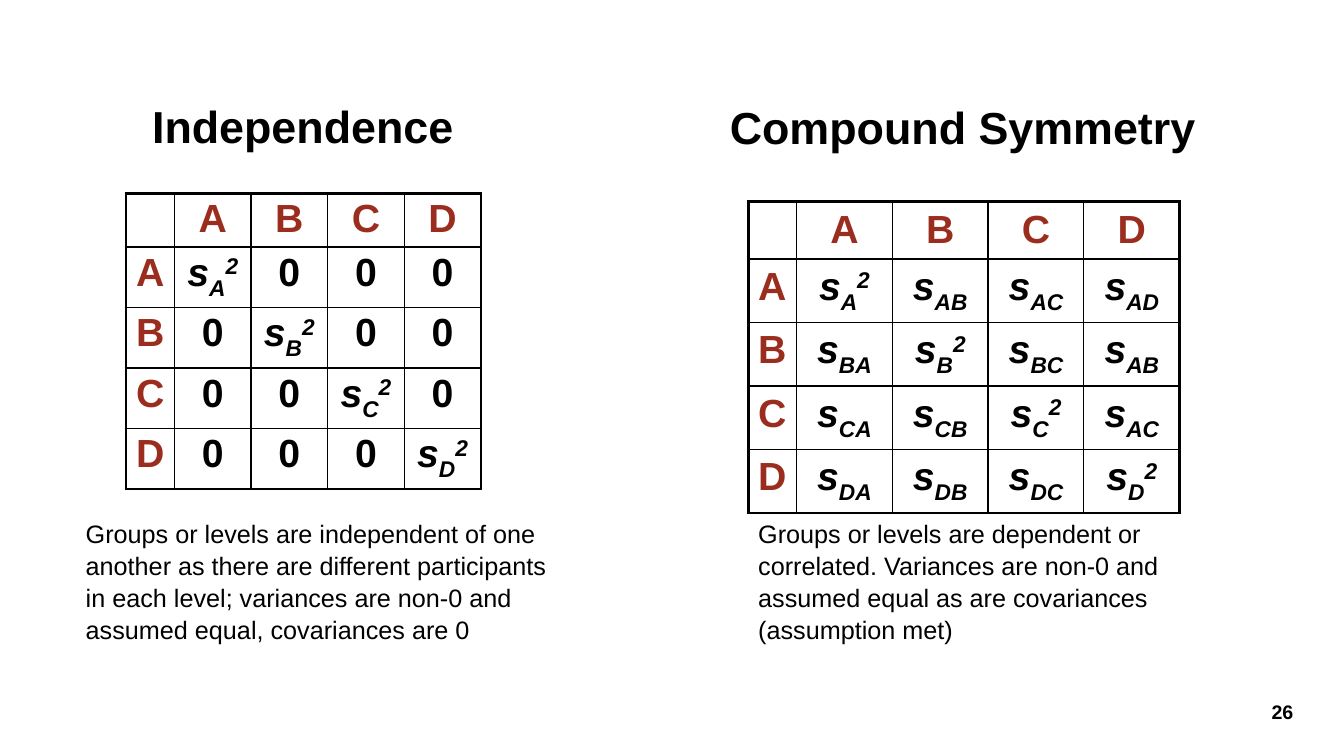
from lxml import etree
from pptx import Presentation
from pptx.enum.text import MSO_ANCHOR, MSO_AUTO_SIZE, PP_ALIGN
from pptx.oxml.ns import qn
from pptx.util import Inches, Pt

TOP, MIDDLE = MSO_ANCHOR.TOP, MSO_ANCHOR.MIDDLE
LEFT, CENTER = PP_ALIGN.LEFT, PP_ALIGN.CENTER
FIXED = MSO_AUTO_SIZE.NONE

FONT = "Arial"
COLORS = {"text": "000000", "label": "9B2D1F", "border": "000000"}
LEVELS = ["A", "B", "C", "D"]
PAGE_NUMBER = "26"
COMPARISON_LAYOUT = 4

# Matrix entries: base, then _subscript, then ^superscript
STRUCTURES = [
    {
        "heading": "Independence",
        "heading_box": (1.38, 0.93, 3.25, 0.63),
        "heading_slot": 1,
        "matrix": [
            ["s_A^2", "0", "0", "0"],
            ["0", "s_B^2", "0", "0"],
            ["0", "0", "s_C^2", "0"],
            ["0", "0", "0", "s_D^2"],
        ],
        "matrix_at": (1.25, 1.92),
        "col_width": 0.76,
        "row_heights": (0.53, 0.6),
        "cell_margin": 0.04,
        "caption": "Groups or levels are independent of one another as there are "
                   "different participants in each level; variances are non-0 and "
                   "assumed equal, covariances are 0",
        "caption_box": (0.75, 5.08, 4.92, 1.31),
        "caption_slot": 2,
    },
    {
        "heading": "Compound Symmetry",
        "heading_box": (6.87, 0.94, 5.36, 0.64),
        "heading_slot": 3,
        "matrix": [
            ["s_A^2", "s_AB", "s_AC", "s_AD"],
            ["s_BA", "s_B^2", "s_BC", "s_AB"],
            ["s_CA", "s_CB", "s_C^2", "s_AC"],
            ["s_DA", "s_DB", "s_DC", "s_D^2"],
        ],
        "matrix_at": (7.42, 2),
        "col_width": 0.95,
        "row_heights": (0.57, 0.63),
        "cell_margin": 0.06,
        "caption": "Groups or levels are dependent or correlated. Variances are "
                   "non-0 and assumed equal as are covariances (assumption met)",
        "caption_box": (7.42, 5.08, 5.2, 1.31),
        "caption_slot": 4,
    },
]
LABEL_COL_WIDTH = 0.48
OUTER_BORDER, INNER_BORDER = Pt(2.25), Pt(1)


def add_run(paragraph, text, size, color="text", bold=False, italic=False, baseline=0):
    run = paragraph.add_run()
    run.text = text
    font = run.font
    font.name, font.size, font.bold, font.italic = FONT, Pt(size), bold, italic
    font.color.rgb = RGBColor.from_string(COLORS[color])
    if baseline:
        run._r.get_or_add_rPr().set("baseline", str(baseline * 1000))


def fill_text(shape, box, text, size, align, bold=False, anchor=TOP, spacing=1.0):
    """Place a text shape and give it one unbulleted paragraph."""
    shape.left, shape.top, shape.width, shape.height = map(Inches, box)
    frame = shape.text_frame
    frame.word_wrap, frame.auto_size, frame.vertical_anchor = True, FIXED, anchor
    paragraph = frame.paragraphs[0]
    properties = paragraph._p.get_or_add_pPr()
    properties.set("marL", "0")
    properties.set("indent", "0")
    etree.SubElement(properties, qn("a:buNone"))
    paragraph.alignment, paragraph.line_spacing = align, spacing
    paragraph.space_before = Pt(0)
    add_run(paragraph, text, size, bold=bold)


def add_entry(paragraph, entry):
    """Write an entry such as s_A^2 with real sub- and superscripts."""
    lower, _, superscript = entry.partition("^")
    base, _, subscript = lower.partition("_")
    is_symbol = bool(subscript)
    for text, baseline in ((base, 0), (subscript, -25), (superscript, 30)):
        if text:
            add_run(paragraph, text, 28, bold=True, italic=is_symbol, baseline=baseline)


def set_borders(cell, row, col, last):
    properties = cell._tc.get_or_add_tcPr()
    edges = [("a:lnL", col == 0), ("a:lnR", col == last),
             ("a:lnT", row == 0), ("a:lnB", row == last)]
    for position, (tag, is_outer) in enumerate(edges):
        line = etree.Element(qn(tag), w=str(OUTER_BORDER if is_outer else INNER_BORDER))
        fill = etree.SubElement(line, qn("a:solidFill"))
        etree.SubElement(fill, qn("a:srgbClr"), val=COLORS["border"])
        properties.insert(position, line)


def add_matrix(slide, structure):
    last = len(LEVELS)
    col_widths = [LABEL_COL_WIDTH] + [structure["col_width"]] * last
    header_height, body_height = structure["row_heights"]
    row_heights = [header_height] + [body_height] * last
    left, top = structure["matrix_at"]
    table = slide.shapes.add_table(
        last + 1, last + 1, Inches(left), Inches(top),
        Inches(sum(col_widths)), Inches(sum(row_heights))).table
    table.first_row = table.horz_banding = False
    for column, width in zip(table.columns, col_widths):
        column.width = Inches(width)
    for table_row, height in zip(table.rows, row_heights):
        table_row.height = Inches(height)

    for row in range(last + 1):
        for col in range(last + 1):
            cell = table.cell(row, col)
            cell.fill.background()
            cell.margin_left = cell.margin_right = Inches(0.05)
            cell.margin_top = cell.margin_bottom = Inches(structure["cell_margin"])
            set_borders(cell, row, col, last)
            paragraph = cell.text_frame.paragraphs[0]
            paragraph.alignment = CENTER
            if row and col:
                add_entry(paragraph, structure["matrix"][row - 1][col - 1])
            elif row or col:
                add_run(paragraph, LEVELS[max(row, col) - 1], 28, "label", bold=True)


def main():
    deck = Presentation()
    deck.slide_width, deck.slide_height = Inches(13.33), Inches(7.5)
    slide = deck.slides.add_slide(deck.slide_layouts[COMPARISON_LAYOUT])
    title = slide.shapes.title
    title._element.getparent().remove(title._element)

    slots = {slot.placeholder_format.idx: slot for slot in slide.placeholders}
    for structure in STRUCTURES:
        fill_text(slots[structure["heading_slot"]], structure["heading_box"],
                  structure["heading"], 32, CENTER, bold=True)
        fill_text(slots[structure["caption_slot"]], structure["caption_box"],
                  structure["caption"], 18, LEFT, spacing=1.05)
        add_matrix(slide, structure)

    number_box = (12.37, 6.86, 0.7, 0.4)
    fill_text(slide.shapes.add_textbox(*map(Inches, number_box)), number_box,
              PAGE_NUMBER, 14, CENTER, bold=True, anchor=MIDDLE)
    deck.save("out.pptx")


from pptx.dml.color import RGBColor

if __name__ == "__main__":
    main()
